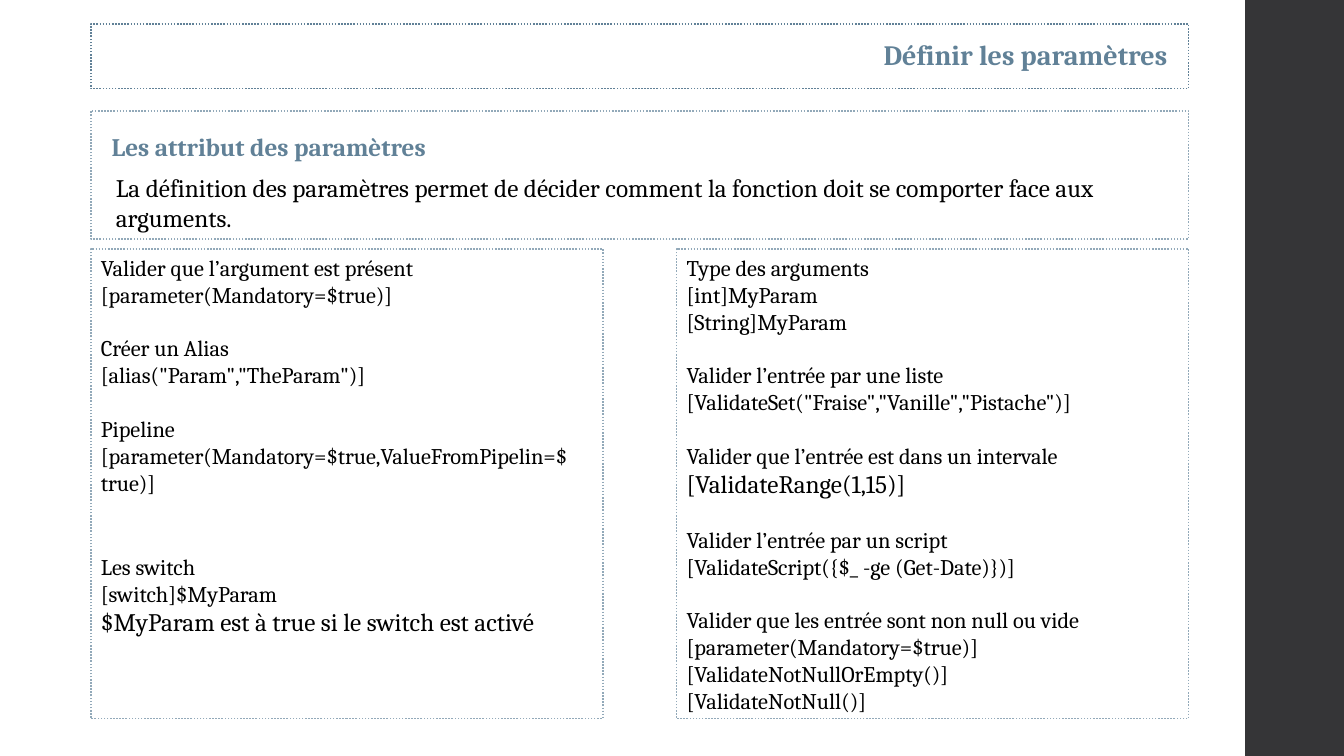
import pptx
import pptx.dml.color
import pptx.enum.dml
import pptx.enum.shapes
import pptx.enum.text
import pptx.util
from pptx.util import Inches, Pt

FONT = "Cambria"
BLUE, PALE_BLUE, BLACK, DARK = "618197", "92A9B9", "000000", "353537"
LINE_GAP = 19.15  # points, one line of 16 pt text

TITLE = "Définir les paramètres"
SUBTITLE = "Les attribut des paramètres"
INTRO = ("La définition des paramètres permet de décider comment la fonction "
         "doit se comporter face aux arguments.")

# Each group: (gap before in points, [(text, size), ...])
LEFT_GROUPS = [
    (0, [("Valider que l’argument est présent", 16),
         ("[parameter(Mandatory=$true)]", 16)]),
    (LINE_GAP, [("Créer un Alias", 16),
                ('[alias("Param","TheParam")]', 16)]),
    (LINE_GAP, [("Pipeline", 16),
                ("[parameter(Mandatory=$true,ValueFromPipelin=$true)]", 16)]),
    (41, [("Les switch", 16),
          ("[switch]$MyParam", 16),
          ("$MyParam est à true si le switch est activé", 18)]),
]
RIGHT_GROUPS = [
    (0, [("Type des arguments", 16),
         ("[int]MyParam", 16),
         ("[String]MyParam", 16)]),
    (LINE_GAP, [("Valider l’entrée par une liste", 16),
                ('[ValidateSet("Fraise","Vanille","Pistache")]', 16)]),
    (LINE_GAP, [("Valider que l’entrée est dans un intervale", 16),
                ("[ValidateRange(1,15)]", 18)]),
    (LINE_GAP, [("Valider l’entrée par un script", 16),
                ("[ValidateScript({$_ -ge (Get-Date)})]", 16)]),
    (LINE_GAP, [("Valider que les entrée sont non null ou vide", 16),
                ("[parameter(Mandatory=$true)]", 16),
                ("[ValidateNotNullOrEmpty()]", 16),
                ("[ValidateNotNull()]", 16)]),
]

LEFT, WIDTH = 0.9, 10.89
COLUMN_TOP, COLUMN_WIDTH = 2.47, 5.08
RIGHT_LEFT = LEFT + WIDTH - COLUMN_WIDTH
PANELS = [
    ((LEFT, 1.1, WIDTH, 1.27), PALE_BLUE),
    ((LEFT, 0.24, WIDTH, 0.64), BLUE),
    ((LEFT, COLUMN_TOP, COLUMN_WIDTH, 4.66), PALE_BLUE),
    ((RIGHT_LEFT, COLUMN_TOP, COLUMN_WIDTH, 4.66), PALE_BLUE),
]


def rgb(color):
    return pptx.dml.color.RGBColor.from_string(color)


def place(sp, box):
    for name, value in zip(("left", "top", "width", "height"), box):
        setattr(sp, name, Inches(value))


def add_rect(slide, box):
    sp = slide.shapes.add_shape(pptx.enum.shapes.MSO_SHAPE.RECTANGLE,
                                *map(Inches, box))
    sp.shadow.inherit = False
    return sp


def write(sp, groups, color=BLACK, bold=False, align="LEFT"):
    """Fill a shape with groups of lines, spaced apart and without bullets."""
    tf = sp.text_frame
    frame_format = {
        "word_wrap": True,
        "auto_size": pptx.enum.text.MSO_AUTO_SIZE.NONE,
        "vertical_anchor": pptx.enum.text.MSO_ANCHOR.TOP,
    }
    for name, value in frame_format.items():
        setattr(tf, name, value)
    lines = [(gap if i == 0 else 0, text, size)
             for gap, group in groups for i, (text, size) in enumerate(group)]
    for i, (gap, text, size) in enumerate(lines):
        p = tf.add_paragraph() if i else tf.paragraphs[0]
        p.alignment = getattr(pptx.enum.text.PP_ALIGN, align)
        p.space_before = Pt(gap)
        pPr = p._p.get_or_add_pPr()
        pPr.set("marL", "0")
        pPr.set("indent", "0")
        pPr.append(pptx.oxml.parse_xml(
            '<a:buNone xmlns:a="http://schemas.openxmlformats.org/drawingml/2006/main"/>'))
        r = p.add_run()
        r.text = text
        font_format = {"name": FONT, "size": Pt(size), "bold": bold}
        for name, value in font_format.items():
            setattr(r.font, name, value)
        r.font.color.rgb = rgb(color)


def main():
    prs = pptx.Presentation()
    prs.slide_width, prs.slide_height = Inches(13.33), Inches(7.5)
    slide = prs.slides.add_slide(prs.slide_layouts.get_by_name("Two Content"))

    sidebar = add_rect(slide, (12.35, 0, 0.98, 7.5))
    sidebar.fill.solid()
    sidebar.fill.fore_color.rgb = rgb(DARK)
    sidebar.line.fill.background()

    for box, color in PANELS:
        panel = add_rect(slide, box)
        panel.fill.background()
        panel.line.color.rgb = rgb(color)
        panel.line.width = Pt(1.1)
        panel.line.dash_style = pptx.enum.dml.MSO_LINE.ROUND_DOT

    title, left, right = slide.placeholders
    place(title, (1.05, 0.32, 10.63, 0.44))
    write(title, [(0, [(TITLE, 20)])], BLUE, True, "RIGHT")
    place(left, (LEFT, COLUMN_TOP, 4.86, 4.66))
    write(left, LEFT_GROUPS)
    place(right, (RIGHT_LEFT, COLUMN_TOP, 4.86, 4.66))
    write(right, RIGHT_GROUPS)

    subtitle = slide.shapes.add_textbox(*map(Inches, (1.01, 1.25, 5.54, 0.4)))
    write(subtitle, [(0, [(SUBTITLE, 18)])], BLUE, True)
    intro = slide.shapes.add_textbox(*map(Inches, (1.05, 1.66, 10.19, 0.71)))
    write(intro, [(0, [(INTRO, 18)])])

    prs.save("out.pptx")


if __name__ == "__main__":
    main()
